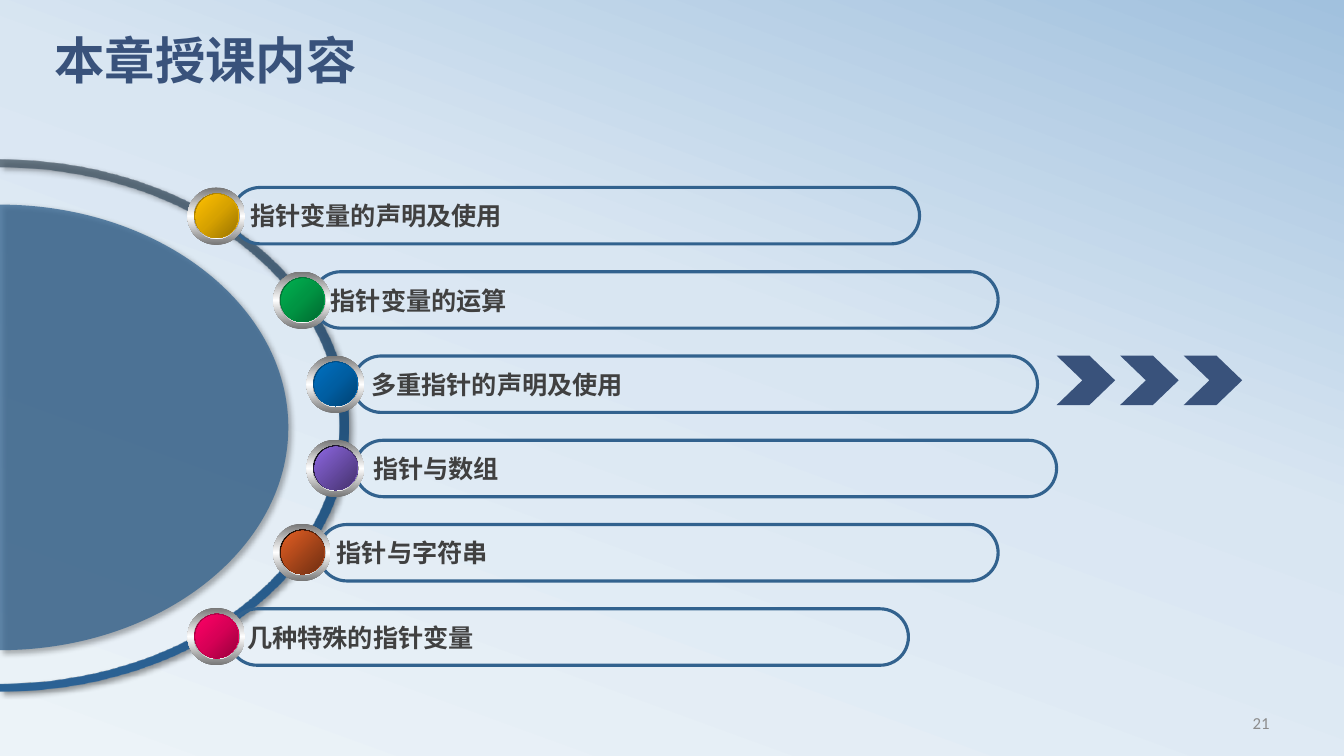
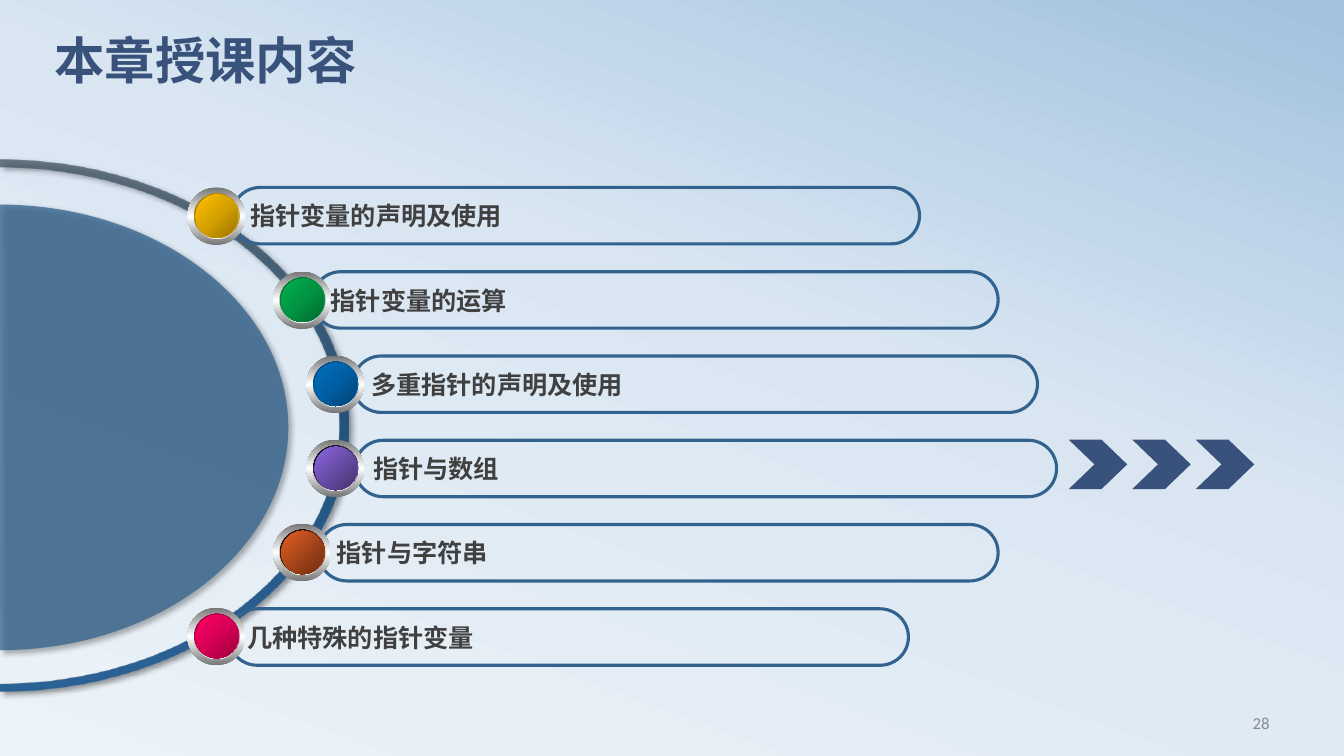
from dataclasses import dataclass
from typing import NamedTuple, Optional

from lxml import etree
from pptx import Presentation
from pptx import util as u
from pptx.dml.color import RGBColor
from pptx.enum import shapes, text
from pptx.oxml.ns import qn

# Colours and fonts
NAVY = RGBColor(0x39, 0x52, 0x7B)
STEEL = RGBColor(0x32, 0x62, 0x8E)
CHARCOAL = RGBColor(0x40, 0x40, 0x40)
PAGE_GREY = RGBColor(0x8C, 0x8C, 0x8C)
BLACK = RGBColor(0, 0, 0)
WHITE = RGBColor(0xFF, 0xFF, 0xFF)
BEZEL_GREY = RGBColor(0x76, 0x76, 0x76)
SEAT_GREY = RGBColor(0xA2, 0xA2, 0xA2)
ORANGE, ORANGE_DARK = RGBColor(0xE3, 0x5E, 0x23), RGBColor(0x6E, 0x2E, 0x11)
PURPLE, PURPLE_DARK = RGBColor(0x8D, 0x67, 0xE1), RGBColor(0x45, 0x32, 0x6D)
LATIN_FONT = "Calibri"
CJK_FONT = "Noto Sans CJK SC"


class Stop(NamedTuple):
    position: int
    color: RGBColor
    alpha: int = 100


def even_stops(*colors: RGBColor) -> list[Stop]:
    return [Stop(100 * i // (len(colors) - 1), c) for i, c in enumerate(colors)]


SKY = [Stop(0, RGBColor(0xEC, 0xF3, 0xF8)), Stop(58, RGBColor(0xD9, 0xE6, 0xF2)),
       Stop(100, RGBColor(0xA1, 0xC1, 0xDE))]
ARC = [Stop(0, RGBColor(0x44, 0x54, 0x62), 75), Stop(50, RGBColor(0x24, 0x53, 0x7D)),
       Stop(100, RGBColor(0x2B, 0x62, 0x95))]
BEZEL = even_stops(BEZEL_GREY, WHITE, BEZEL_GREY)
SEAT = even_stops(SEAT_GREY, WHITE, SEAT_GREY)
GOLD = even_stops(RGBColor(0x97, 0x72, 0), RGBColor(0xD7, 0xA2, 0), RGBColor(0xFF, 0xC0, 0))
GREEN = even_stops(RGBColor(0, 0x68, 0x2F), RGBColor(0, 0x94, 0x43), RGBColor(0, 0xB0, 0x50))
BLUE = even_stops(RGBColor(0, 0x42, 0x72), RGBColor(0, 0x5E, 0xA2), RGBColor(0, 0x70, 0xC0))
PINK = even_stops(RGBColor(0x97, 0, 0x3C), RGBColor(0xD7, 0, 0x56), RGBColor(0xFF, 0, 0x66))


@dataclass(frozen=True)
class Topic:
    label: str
    knob_left: float
    pill_left: float
    pill_width: float
    rim: list[Stop]
    face: list[Stop]
    face_angle: Optional[int] = None  # None: radial from the lower right


@dataclass(frozen=True)
class Page:
    number: int
    current_row: int
    arrows_left: float


TOPICS = [
    Topic("指针变量的声明及使用", 1.86, 2.3, 6.82, GOLD, GOLD),
    Topic("指针变量的运算", 2.71, 3.1, 6.8, GREEN, GREEN),
    Topic("多重指针的声明及使用", 3.04, 3.5, 6.79, BLUE, BLUE),
    Topic("指针与数组", 3.04, 3.52, 6.96, even_stops(BLACK, PURPLE),
          even_stops(PURPLE, PURPLE_DARK), 45),
    Topic("指针与字符串", 2.71, 3.16, 6.74, even_stops(BLACK, ORANGE),
          even_stops(ORANGE, ORANGE_DARK), 45),
    Topic("几种特殊的指针变量", 1.86, 2.27, 6.74, PINK, PINK, 225),
]
PAGES = [Page(21, 2, 10.48), Page(28, 3, 10.6)]

FIRST_TOP, LAST_PILL, LAST_KNOB = 1.86, 6.04, 6.03
PILL_HEIGHT = 0.56
ARROW_PITCH = 0.63
ROUNDNESS = 0.55  # control-point distance for a quarter ellipse


def row_top(row: int, last: float) -> float:
    return FIRST_TOP + row * (last - FIRST_TOP) / (len(TOPICS) - 1)


# Fills and effects
def add_color(parent, color: RGBColor, alpha: int) -> None:
    rgb = etree.SubElement(parent, qn("a:srgbClr"), val=str(color))
    if alpha < 100:
        etree.SubElement(rgb, qn("a:alpha"), val=str(alpha * 1000))


def set_gradient(holder, stops: list[Stop], angle: Optional[int]) -> None:
    """Replace the solid fill in holder; the angle runs clockwise."""
    gradient = etree.Element(qn("a:gradFill"), rotWithShape="1")
    stop_list = etree.SubElement(gradient, qn("a:gsLst"))
    for stop in stops:
        mark = etree.SubElement(stop_list, qn("a:gs"), pos=str(stop.position * 1000))
        add_color(mark, stop.color, stop.alpha)
    if angle is None:
        radial = etree.SubElement(gradient, qn("a:path"), path="circle")
        etree.SubElement(radial, qn("a:fillToRect"), l="100000", t="100000")
    else:
        etree.SubElement(gradient, qn("a:lin"), ang=str(angle * 60000), scaled="0")
    holder.replace(holder.find(qn("a:solidFill")), gradient)


def add_shadow(shape) -> None:
    effects = shape.element.spPr.find(qn("a:effectLst"))
    shadow = etree.SubElement(effects, qn("a:outerShdw"), blurRad=str(u.Pt(4)),
                              dist=str(u.Pt(3)), dir=str(45 * 60000), rotWithShape="0")
    add_color(shadow, BLACK, 40)


# Basic parts
def make_plain(shape) -> None:
    shape.shadow.inherit = False
    shape.line.fill.background()
    shape.fill.solid()


def add_plain(parent, kind, left: float, top: float, width: float, height: float):
    shape = parent.add_shape(kind, u.Inches(left), u.Inches(top),
                             u.Inches(width), u.Inches(height))
    make_plain(shape)
    return shape


def write(frame, words: str, size: int, color: RGBColor, font: str, bold: bool = False,
          align=text.PP_ALIGN.LEFT, wrap: bool = True):
    frame.word_wrap = wrap
    paragraph = frame.paragraphs[0]
    paragraph.text = words
    paragraph.alignment = align
    paragraph.font.name = font
    paragraph.font.size = u.Pt(size)
    paragraph.font.bold = bold
    paragraph.font.color.rgb = color
    latin = paragraph._p.pPr.find(".//" + qn("a:latin"))
    latin.addnext(etree.Element(qn("a:ea"), typeface=CJK_FONT))
    return paragraph


def add_text_frame(slide, left: float, top: float, width: float, height: float):
    return slide.shapes.add_textbox(u.Inches(left), u.Inches(top), u.Inches(width),
                                    u.Inches(height)).text_frame


def half_ellipse(rx: float, ry: float, center_y: float):
    """Nodes and control points of the right half, from top to bottom."""
    kx, ky = rx * ROUNDNESS, ry * ROUNDNESS
    offsets = [(0, -ry), (kx, -ry), (rx, -ky), (rx, 0), (rx, ky), (kx, ry), (0, ry)]
    return [(u.Inches(x), u.Inches(center_y + y)) for x, y in offsets]


def bend(shape) -> None:
    """Turn each half ellipse's six line points into two Bezier curves."""
    lines = list(shape.element.spPr.iter(qn("a:lnTo")))
    for half in range(0, len(lines), 7):
        for start in (half, half + 3):
            curve = etree.Element(qn("a:cubicBezTo"))
            lines[start].addprevious(curve)
            for line in lines[start:start + 3]:
                curve.append(line[0])
                line.getparent().remove(line)


def add_outline(slide, points):
    builder = slide.shapes.build_freeform(*points[0], scale=1.0)
    builder.add_line_segments(points[1:], close=True)
    shape = builder.convert_to_shape()
    bend(shape)
    make_plain(shape)
    add_shadow(shape)
    return shape


# Slide parts
def add_dial(slide) -> None:
    outer = half_ellipse(3.46, 2.64, 4.22)
    inner = half_ellipse(3.36, 2.56, 4.22)
    arc = add_outline(slide, inner + outer[::-1])
    set_gradient(arc.element.spPr, ARC, 90)
    disc = add_outline(slide, half_ellipse(2.86, 2.21, 4.24))
    add_color(disc.element.spPr.find(qn("a:solidFill")), STEEL, 75)


def add_knob(slide, topic: Topic, top: float) -> None:
    knob = slide.shapes.add_group_shape().shapes
    layers = [(0, 0, 0.57, 0.57, BEZEL, 90), (0.06, 0.06, 0.46, 0.45, SEAT, 0),
              (0.07, 0.06, 0.44, 0.44, topic.rim, 45),
              (0.08, 0.07, 0.42, 0.43, topic.face, topic.face_angle)]
    for dx, dy, width, height, stops, angle in layers:
        layer = add_plain(knob, shapes.MSO_SHAPE.OVAL, topic.knob_left + dx, top + dy,
                          width, height)
        set_gradient(layer.element.spPr, stops, angle)


def add_pill(slide, topic: Topic, top: float) -> None:
    pill = add_plain(slide.shapes, shapes.MSO_SHAPE.ROUNDED_RECTANGLE, topic.pill_left,
                     top, topic.pill_width, PILL_HEIGHT)
    pill.adjustments[0] = 0.5
    pill.fill.background()
    pill.line.color.rgb = STEEL
    pill.line.width = u.Pt(2.25)
    pill.text_frame.vertical_anchor = text.MSO_ANCHOR.MIDDLE
    write(pill.text_frame, topic.label, 18, CHARCOAL, CJK_FONT, bold=True, wrap=False)


def add_arrows(slide, left: float, top: float) -> None:
    arrows = slide.shapes.add_group_shape().shapes
    for i in range(3):
        arrow = add_plain(arrows, shapes.MSO_SHAPE.CHEVRON, left + i * ARROW_PITCH, top,
                          0.58, 0.49)
        arrow.adjustments[0] = 0.52
        arrow.fill.fore_color.rgb = NAVY


def add_page(prs, page: Page) -> None:
    slide = prs.slides.add_slide(prs.slide_layouts[6])

    # Page number and title
    number = add_text_frame(slide, 9.58, 6.97, 3.11, 0.4)
    number.vertical_anchor = text.MSO_ANCHOR.MIDDLE
    write(number, str(page.number), 12, PAGE_GREY, LATIN_FONT, align=text.PP_ALIGN.RIGHT)
    title = add_text_frame(slide, 0.44, 0.36, 12, 0.94)
    write(title, "本章授课内容", 36, NAVY, LATIN_FONT, bold=True).line_spacing = 0.8

    # Dial with its topics, and the arrows at the current one
    add_dial(slide)
    for row, topic in enumerate(TOPICS):
        add_pill(slide, topic, row_top(row, LAST_PILL))
        add_knob(slide, topic, row_top(row, LAST_KNOB))
    add_arrows(slide, page.arrows_left, row_top(page.current_row, LAST_KNOB))


def main() -> None:
    prs = Presentation()
    prs.slide_width, prs.slide_height = u.Inches(13.33), u.Inches(7.5)

    # Shared background
    master = prs.slide_master
    master.background.fill.solid()
    set_gradient(master.element.find(".//" + qn("p:bgPr")), SKY, 290)

    for page in PAGES:
        add_page(prs, page)
    prs.save("out.pptx")


if __name__ == "__main__":
    main()
